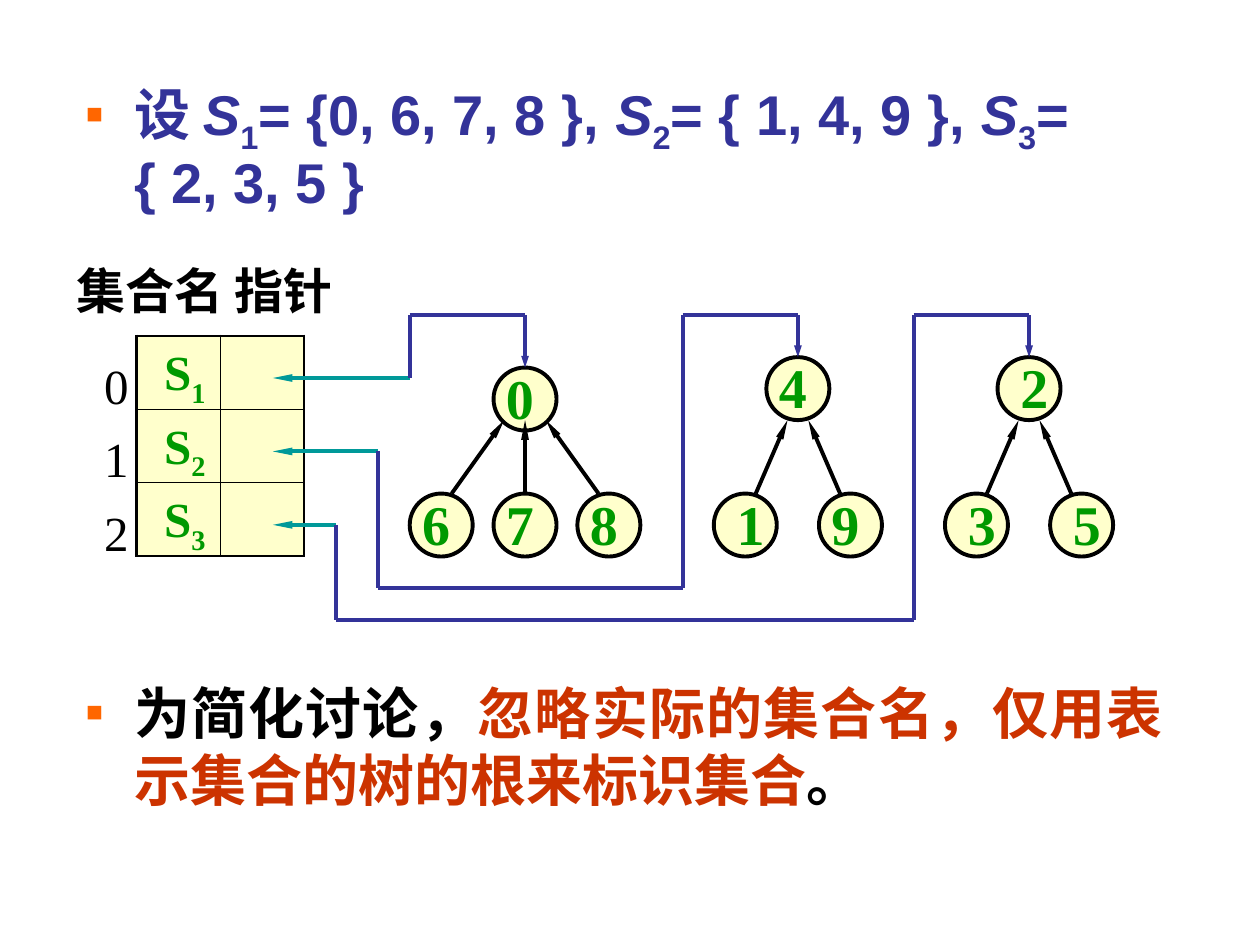
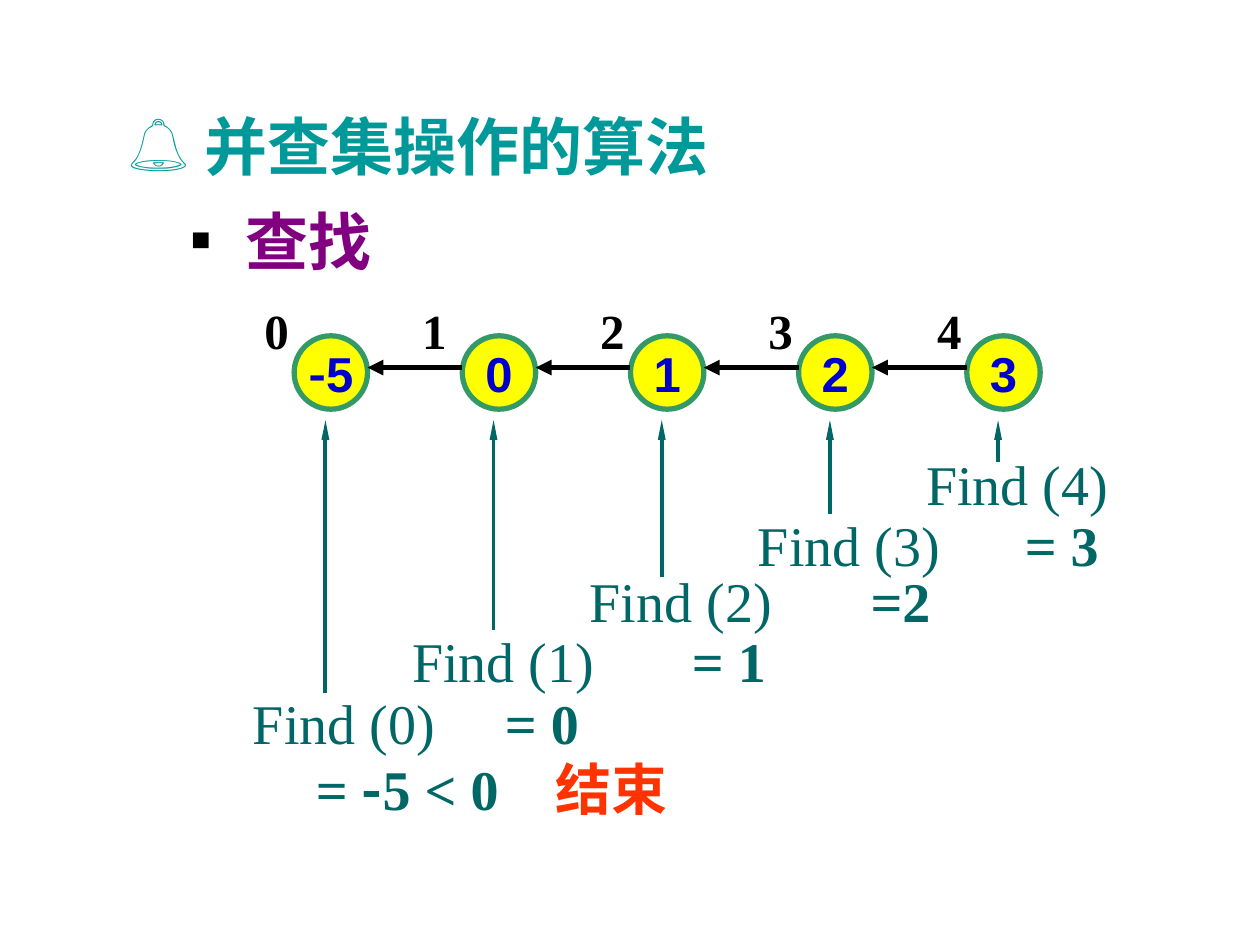
from itertools import pairwise

from lxml.etree import SubElement
from pptx import Presentation
from pptx.dml.color import RGBColor
from pptx.enum.shapes import MSO_CONNECTOR as Connector, MSO_SHAPE as Shape
from pptx.enum.text import MSO_ANCHOR as Anchor, MSO_AUTO_SIZE as AutoSize, PP_ALIGN as Align
from pptx.oxml.ns import qn
from pptx.util import Cm, Pt

SERIF = "Times New Roman"
SANS = "Arial"
CJK = "Noto Sans CJK SC"

BLACK = "000000"
NAVY = "333399"
TEAL = "009999"
GREEN = "009900"
PINE = "006666"
CREAM = "FFFFCC"
ORANGE = "FF6600"

LONG_HEAD = ("sm", "lg")
SHORT_HEAD = ("sm", "med")
WIDE_HEAD = ("med", "med")

NODE = 1.27
CHILD_TOP = 9.95
EDGE_TIP = 8.47
ROW_HEIGHT = 1.48
TABLE_LEFT, TABLE_TOP = 2.75, 6.77
COLUMN = 1.69
ROUTE_TOP = 6.35
CHAIN_NODE = 1.48
CHAIN_STEP = 3.39
CHAIN_LEFT, CHAIN_TOP = 5.93, 6.77


def rgb(value):
    return RGBColor.from_string(value)


def write(paragraph, text, size=32, font=SERIF, color=BLACK, bold=False, italic=False, sub=False):
    run = paragraph.add_run()
    run.text = text
    run.font.size = Pt(size)
    run.font.name = font
    run.font.bold = bold
    run.font.italic = italic
    run.font.color.rgb = rgb(color)
    properties = run._r.get_or_add_rPr()
    SubElement(properties, qn("a:ea"), typeface=CJK)
    if sub:
        properties.set("baseline", "-25000")


def add_label(slide, left, top, width, height=1.63, tab=None):
    frame = slide.shapes.add_textbox(Cm(left), Cm(top), Cm(width), Cm(height)).text_frame
    frame.word_wrap = True
    paragraph = frame.paragraphs[0]
    if tab:
        stops = SubElement(paragraph._p.get_or_add_pPr(), qn("a:tabLst"))
        SubElement(stops, qn("a:tab"), pos=str(Cm(tab)), algn="l")
    return paragraph


def add_line(slide, start, end, color=BLACK, width=2.25, head=None):
    x1, y1 = start
    x2, y2 = end
    line = slide.shapes.add_connector(Connector.STRAIGHT, Cm(x1), Cm(y1), Cm(x2), Cm(y2))
    line.line.color.rgb = rgb(color)
    line.line.width = Pt(width)
    if head:
        breadth, length = head
        SubElement(line.line._get_or_add_ln(), qn("a:tailEnd"),
                   type="triangle", w=breadth, len=length)
    SubElement(line._element.spPr, qn("a:effectLst"))


def add_circle(slide, left, top, diameter, fill, outline, width):
    circle = slide.shapes.add_shape(Shape.OVAL, Cm(left), Cm(top), Cm(diameter), Cm(diameter))
    circle.shadow.inherit = False
    circle.fill.solid()
    circle.fill.fore_color.rgb = rgb(fill)
    circle.line.color.rgb = rgb(outline)
    circle.line.width = Pt(width)
    return circle


def place_body(body, left, top, width, height):
    body.left, body.top, body.width, body.height = Cm(left), Cm(top), Cm(width), Cm(height)
    body.text_frame.auto_size = AutoSize.NONE
    body.text_frame.vertical_anchor = Anchor.TOP
    return body.text_frame


def format_bullet(paragraph, char, color, scale=100, left=0.97, hanging=0.97, before=8, spacing=1.0):
    paragraph.space_before = Pt(before)
    paragraph.line_spacing = spacing
    properties = paragraph._p.get_or_add_pPr()
    properties.set("marL", str(Cm(left)))
    properties.set("indent", str(-Cm(hanging)))
    SubElement(SubElement(properties, qn("a:buClr")), qn("a:srgbClr"), val=color)
    SubElement(properties, qn("a:buSzPct"), val=str(scale * 1000))
    SubElement(properties, qn("a:buFont"), typeface=SANS)
    SubElement(properties, qn("a:buChar"), char=char)


def add_slide(deck, layout):
    slide = deck.slides.add_slide(deck.slide_layouts[layout])
    title = slide.shapes.title._element
    title.getparent().remove(title)
    return slide, list(slide.placeholders)


def set_border(cell, side, width):
    line = SubElement(cell._tc.get_or_add_tcPr(), qn(f"a:ln{side}"), w=str(Pt(width)))
    SubElement(SubElement(line, qn("a:solidFill")), qn("a:srgbClr"), val=BLACK)


def add_set_table(slide):
    table = slide.shapes.add_table(3, 2, Cm(TABLE_LEFT), Cm(TABLE_TOP),
                                   Cm(2 * COLUMN), Cm(3 * ROW_HEIGHT)).table
    table.first_row = table.horz_banding = False
    for row in range(3):
        table.rows[row].height = Cm(ROW_HEIGHT)
        for column in range(2):
            table.columns[column].width = Cm(COLUMN)
            cell = table.cell(row, column)
            outer = {"L": column == 0, "R": column == 1, "T": row == 0, "B": row == 2}
            for side, is_outer in outer.items():
                set_border(cell, side, 1.5 if is_outer else 0.75)
            cell.fill.solid()
            cell.fill.fore_color.rgb = rgb(CREAM)
            cell.vertical_anchor = Anchor.BOTTOM
            cell.margin_left = Cm(0.56)
            cell.margin_right = cell.margin_top = cell.margin_bottom = 0
        name = table.cell(row, 0).text_frame.paragraphs[0]
        write(name, "S", size=28, color=GREEN, bold=True)
        write(name, str(row + 1), size=28, color=GREEN, bold=True, sub=True)
        index = add_label(slide, 1.85, 7.04 + row * ROW_HEIGHT, 1, 1.45)
        write(index, str(row), size=28)


def add_tree_node(slide, digit, left, top, shift):
    add_circle(slide, left, top, NODE, CREAM, BLACK, 2.25)
    write(add_label(slide, left + shift, top - 0.21, 1.07), digit, color=GREEN, bold=True)


def add_tree(slide, root, children, spread):
    digit, root_left, root_top, shift = root
    add_tree_node(slide, digit, root_left, root_top, shift)
    for child, left, child_shift in children:
        add_tree_node(slide, child, left, CHILD_TOP, child_shift)
        side = (root_left > left) - (root_left < left)
        add_line(slide, (left + NODE / 2 + side * 0.21, CHILD_TOP),
                 (root_left + NODE / 2 - side * spread, EDGE_TIP), head=LONG_HEAD)


def add_route(slide, points):
    add_line(slide, points[0], (5.5, points[0][1]), color=TEAL, head=LONG_HEAD)
    legs = list(pairwise(points))
    for start, end in legs:
        head = SHORT_HEAD if (start, end) == legs[-1] else None
        add_line(slide, start, end, color=NAVY, head=head)


def build_sets(deck):
    slide, (definition, remark) = add_slide(deck, 3)
    sets = place_body(definition, 1.48, 1.48, 22.23, 3.18).paragraphs[0]
    format_bullet(sets, "■", ORANGE, scale=50, spacing=0.95)
    style = dict(font=SANS, color=NAVY, bold=True)
    write(sets, "设 ", **style)
    members = ["= {0, 6, 7, 8 }, ", "= { 1, 4, 9 }, ", "= { 2, 3, 5 }"]
    for number, content in enumerate(members, 1):
        write(sets, "S", italic=True, **style)
        write(sets, str(number), sub=True, **style)
        write(sets, content, **style)

    write(add_label(slide, 1.3, 5.13, 5.92, 1.45), "集合名 指针", size=28, font=CJK, bold=True)
    add_set_table(slide)

    trees = [
        (("0", 9.95, 7.41, 0), [("6", 8.26, 0), ("7", 9.95, 0), ("8", 11.64, 0)], 0.42),
        (("4", 15.45, 7.2, 0), [("1", 14.39, 0.21), ("9", 16.51, 0)], 0.21),
        (("2", 20.11, 7.2, 0.21), [("3", 19.05, 0.21), ("5", 21.17, 0.21)], 0.21),
    ]
    detours = [(8.26, None, 8.26), (7.62, 11.85, 13.76), (6.77, 12.49, 18.42)]
    for row, ((root, children, spread), (turn, low, riser)) in enumerate(zip(trees, detours)):
        add_tree(slide, root, children, spread)
        center = root[1] + NODE / 2
        below = [(turn, low), (riser, low)] if low else []
        add_route(slide, [(turn, 7.62 + row * ROW_HEIGHT), *below,
                          (riser, ROUTE_TOP), (center, ROUTE_TOP), (center, root[2])])

    note = place_body(remark, 1.48, 13.55, 22.23, 3.39).paragraphs[0]
    note.alignment = Align.JUSTIFY
    format_bullet(note, "■", ORANGE, scale=50)
    write(note, "为简化讨论，", font=SANS, bold=True)
    write(note, "忽略实际的集合名，仅用表示集合的树的根来标识集合", font=SANS, color="CC3300", bold=True)
    write(note, "。", font=SANS, bold=True)


def add_chain_node(slide, position, value):
    left = CHAIN_LEFT + position * CHAIN_STEP
    circle = add_circle(slide, left, CHAIN_TOP, CHAIN_NODE, "FFFF00", "339966", 3)
    frame = circle.text_frame
    frame.word_wrap = False
    frame.vertical_anchor = Anchor.MIDDLE
    paragraph = frame.paragraphs[0]
    paragraph.alignment = Align.CENTER
    for char in value:
        write(paragraph, char, size=28, font=CJK if char == "-" else SANS,
              color="0000CC", bold=True)
    if position:
        add_line(slide, (left, 7.41), (left - CHAIN_STEP + CHAIN_NODE, 7.41),
                 width=3, head=WIDE_HEAD)


def build_find(deck):
    slide, (outline,) = add_slide(deck, 1)
    frame = place_body(outline, 2.33, 1.9, 21.59, 11.43)
    topic = frame.paragraphs[0]
    format_bullet(topic, "🔔", TEAL, before=9)
    write(topic, " ", size=40, font=SANS, color=TEAL, bold=True)
    write(topic, "并查集操作的算法", size=36, font=SANS, color=TEAL, bold=True)
    operation = frame.add_paragraph()
    operation.level = 1
    format_bullet(operation, "■", BLACK, scale=50, left=2.06, hanging=0.79, before=9)
    write(operation, " ", size=37, font=SANS, color="800080", bold=True)
    write(operation, "查找", size=36, font=SANS, color="800080", bold=True)

    steps = [
        ("-5", 5.08, 4.85, 13.76, 13.97, "= 0", 5.08),
        ("0", 8.26, 8.06, 12.5, 12.7, "= 1", 5.64),
        ("1", 11.85, 11.64, 11.3, 11.64, "=2", 5.66),
        ("2", 15.24, 15.03, 10.16, 10.37, "= 3", 5.38),
        ("3", 18.64, 18.42, 8.94, 9.31, None, None),
    ]
    for position, (parent, index_left, left, top, stem, result, tab) in enumerate(steps):
        add_chain_node(slide, position, parent)
        write(add_label(slide, index_left, 5.93, 1, 1.45), str(position), size=28, bold=True)
        stem_x = 6.56 + position * CHAIN_STEP
        add_line(slide, (stem_x, stem), (stem_x, 8.47), color=PINE, head=LONG_HEAD)
        call = add_label(slide, left, top, 7.65 if result else 4.4, tab=tab)
        write(call, f"Find ({position})", color=PINE)
        if result:
            write(call, f"\t{result}", color=PINE, bold=True)

    ending = add_label(slide, 6.12, 14.94, 8.1, 1.78, tab=4.83)
    write(ending, "= ", color=PINE, bold=True)
    write(ending, "-", font=CJK, color=PINE, bold=True)
    write(ending, "5 < 0", color=PINE, bold=True)
    write(ending, "\t", size=36, color="FF3300", bold=True)
    write(ending, "结束", color="FF3300", bold=True)


def main():
    deck = Presentation()
    deck.slide_width, deck.slide_height = Cm(25.4), Cm(19.05)
    build_sets(deck)
    build_find(deck)
    deck.save("out.pptx")


if __name__ == "__main__":
    main()
